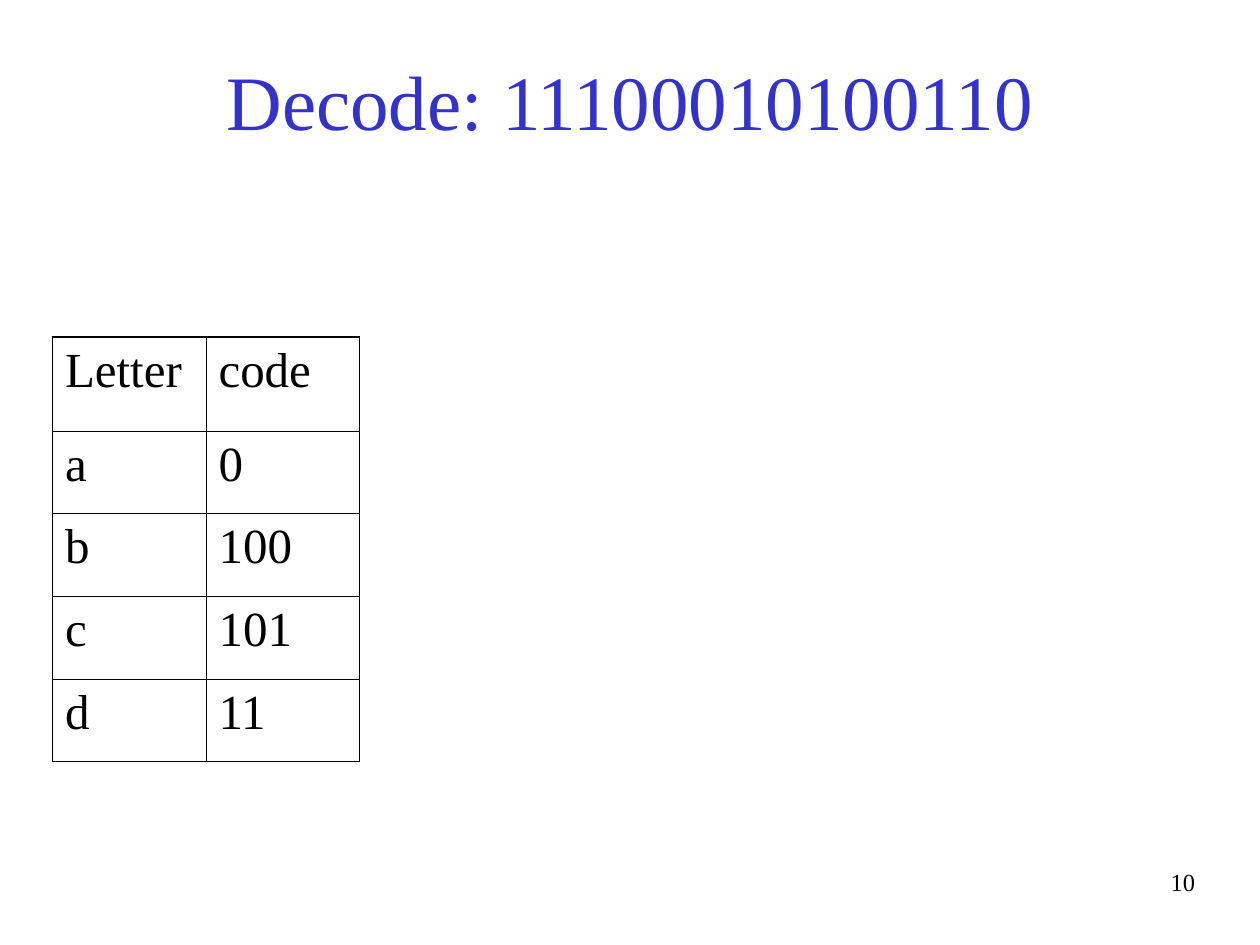
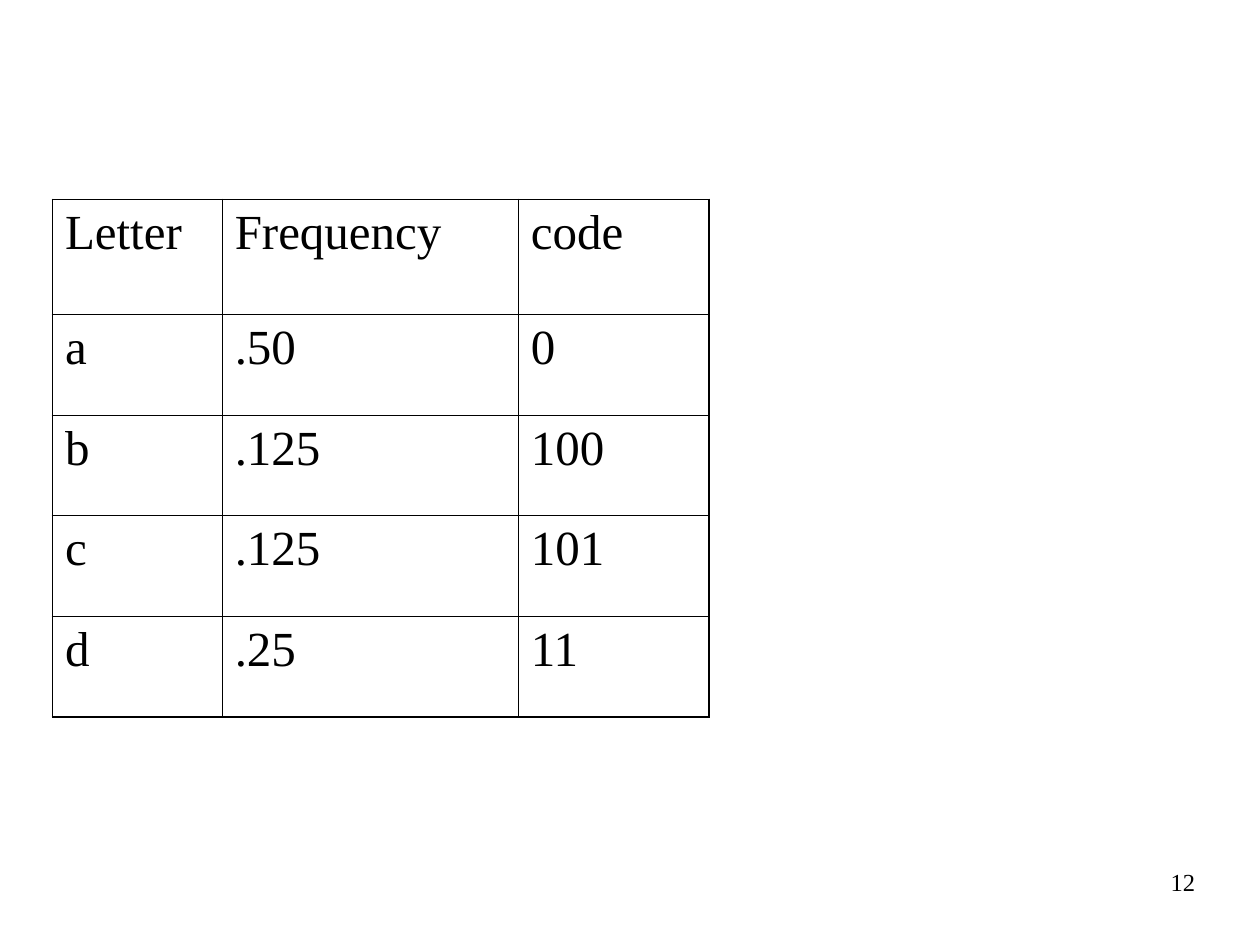
import pptx
import pptx.dml.color
import pptx.enum.text
import pptx.oxml.ns
import pptx.util
from lxml import etree

Pt = pptx.util.Pt
ALIGN = pptx.enum.text.PP_ALIGN
ANCHOR = pptx.enum.text.MSO_ANCHOR

FONT = "Times New Roman"
TITLE_BLUE = "3333CC"
BLACK = "000000"
WHITE = "FFFFFF"

# Boxes in points: left, top, width, height
TITLE_BOX = (54, 18, 612, 78)
NUMBER_BOX = (540, 492, 150, 36)
TABLE_LEFT = 30
OUTER_LINE, INNER_LINE = 1.08, 0.45

LETTERS = ["a", "b", "c", "d"]
FREQUENCIES = [".50", ".125", ".125", ".25"]
CODES = ["0", "100", "101", "11"]


def rgb(value):
    return pptx.dml.color.RGBColor.from_string(value)


def style(paragraph, size, color, align=ALIGN.LEFT):
    paragraph.alignment = align
    paragraph.font.name = FONT
    paragraph.font.size = Pt(size)
    paragraph.font.color.rgb = rgb(color)


def add_text(slide, box, text, size, color, align, anchor=ANCHOR.TOP):
    frame = slide.shapes.add_textbox(*map(Pt, box)).text_frame
    frame.word_wrap = True
    frame.vertical_anchor = anchor
    frame.text = text
    style(frame.paragraphs[0], size, color, align)


def set_borders(cell, widths):
    """Widths run left, right, top, bottom; the lines precede the cell's fill."""
    properties = cell._tc.get_or_add_tcPr()
    for index, (side, width) in enumerate(zip("LRTB", widths)):
        line = etree.Element(pptx.oxml.ns.qn(f"a:ln{side}"), w=str(int(Pt(width))))
        fill = etree.SubElement(line, pptx.oxml.ns.qn("a:solidFill"))
        etree.SubElement(fill, pptx.oxml.ns.qn("a:srgbClr"), val=BLACK)
        properties.insert(index, line)


def add_code_table(slide, top, columns, widths, header_height, row_height):
    """columns maps each heading to its values."""
    rows = [list(columns), *zip(*columns.values())]
    heights = [header_height] + [row_height] * (len(rows) - 1)
    table = slide.shapes.add_table(
        len(rows), len(widths), Pt(TABLE_LEFT), Pt(top),
        Pt(sum(widths)), Pt(sum(heights))).table
    table.first_row = table.horz_banding = False
    for column, width in zip(table.columns, widths):
        column.width = Pt(width)
    last_row, last_column = len(rows) - 1, len(widths) - 1
    for r, (values, height) in enumerate(zip(rows, heights)):
        table.rows[r].height = Pt(height)
        for c, value in enumerate(values):
            cell = table.cell(r, c)
            cell.text = value
            paragraph = cell.text_frame.paragraphs[0]
            style(paragraph, 28, BLACK)
            paragraph.space_before = Pt(7)
            cell.fill.background()
            edges = (c == 0, c == last_column, r == 0, r == last_row)
            set_borders(cell, [OUTER_LINE if edge else INNER_LINE for edge in edges])


def add_slide(deck, number):
    slide = deck.slides.add_slide(deck.slide_layouts[6])
    slide.background.fill.solid()
    slide.background.fill.fore_color.rgb = rgb(WHITE)
    add_text(slide, NUMBER_BOX, number, 14, BLACK, ALIGN.RIGHT)
    return slide


def build_decode_slide(deck):
    slide = add_slide(deck, "10")
    add_text(slide, TITLE_BOX, "Decode: 11100010100110", 44, TITLE_BLUE,
             ALIGN.CENTER, ANCHOR.MIDDLE)
    add_code_table(slide, 192.75, {"Letter": LETTERS, "code": CODES},
                   [87.75, 87.75], 53.6, 47.25)


def build_frequency_slide(deck):
    slide = add_slide(deck, "12")
    add_code_table(slide, 114,
                   {"Letter": LETTERS, "Frequency": FREQUENCIES, "code": CODES},
                   [97, 169.25, 109], 65.75, 57.5)


def main():
    deck = pptx.Presentation()
    deck.slide_width, deck.slide_height = Pt(720), Pt(540)
    build_decode_slide(deck)
    build_frequency_slide(deck)
    deck.save("out.pptx")


if __name__ == "__main__":
    main()
